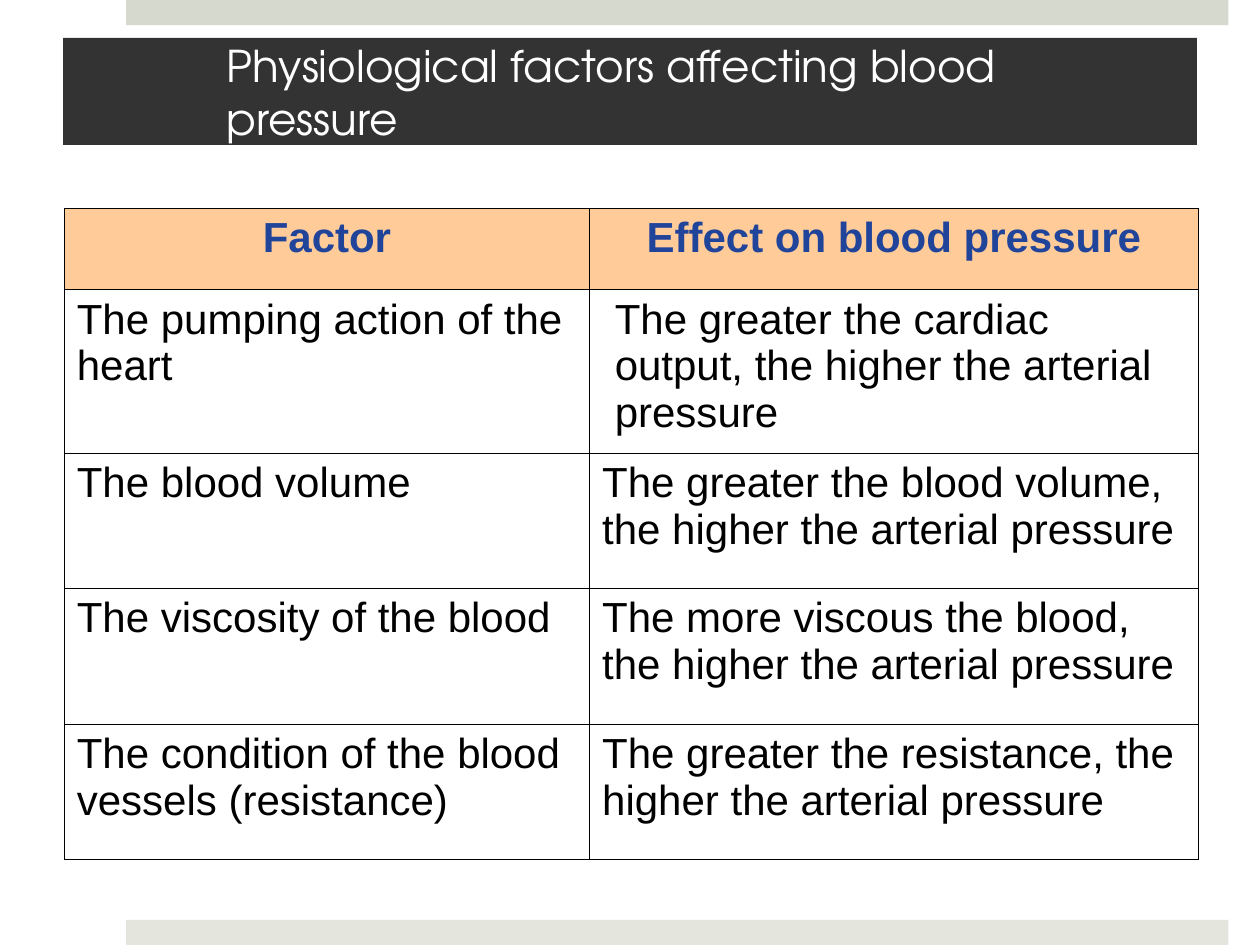
from pptx import Presentation, util as u
from pptx.dml.color import RGBColor
from pptx.enum import shapes, text
from pptx.oxml import parse_xml
from pptx.oxml.ns import nsdecls

BORDER = ('<a:{side} {ns} w="{width}"><a:solidFill><a:srgbClr val="{color}"/>'
          '</a:solidFill></a:{side}>')


def rgb(value):
    return RGBColor.from_string(value)


def set_all(obj, values):
    for name, value in values.items():
        setattr(obj, name, value)


class SlideBuilder:
    title_font = {"name": "TeX Gyre Adventor", "size": u.Pt(25), "bold": False}
    head_font = {"name": "Arial", "size": u.Pt(24), "bold": True}
    body_font = {"name": "Arial", "size": u.Pt(24), "bold": False}

    def __init__(self, prs):
        self.s = prs.slides.add_slide(prs.slide_layouts[5])

    def add_words(self, tf, words, font, color, align=text.PP_ALIGN.LEFT):
        p = tf.paragraphs[0]
        p.alignment = align
        r = p.add_run()
        r.text = words
        set_all(r.font, font)
        r.font.color.rgb = rgb(color)

    def band(self, left, top, width, height, color):
        sp = self.s.shapes.add_shape(
            shapes.MSO_SHAPE.RECTANGLE,
            *map(u.Inches, (left, top, width, height)))
        sp.shadow.inherit = False
        sp.fill.solid()
        sp.fill.fore_color.rgb = rgb(color)
        sp.line.fill.background()

    def title(self, left, top, width, height, words):
        sp = self.s.shapes.title
        set_all(sp, {"left": u.Inches(left), "top": u.Inches(top),
                     "width": u.Inches(width), "height": u.Inches(height)})
        sp.fill.solid()
        sp.fill.fore_color.rgb = rgb("333333")
        tf = sp.text_frame
        set_all(tf, {"margin_left": u.Inches(1.3), "margin_right": u.Inches(0.3),
                     "margin_top": u.Inches(0.05), "margin_bottom": u.Inches(0.05),
                     "word_wrap": True, "auto_size": text.MSO_AUTO_SIZE.NONE,
                     "vertical_anchor": text.MSO_ANCHOR.MIDDLE})
        self.add_words(tf, words, self.title_font, "FFFFFF")

    def cell(self, cell, words, is_head):
        tcPr = cell._tc.get_or_add_tcPr()
        for side in ("lnL", "lnR", "lnT", "lnB"):
            tcPr.append(parse_xml(BORDER.format(
                side=side, ns=nsdecls("a"), width=u.Pt(0.45), color="000000")))
        if is_head:
            cell.fill.solid()
            cell.fill.fore_color.rgb = rgb("FFCC99")
            self.add_words(cell.text_frame, words, self.head_font, "21449B",
                           text.PP_ALIGN.CENTER)
        else:
            cell.fill.background()
            self.add_words(cell.text_frame, words, self.body_font, "000000")

    def table(self, left, top, col_widths, row_heights, rows):
        table = self.s.shapes.add_table(
            len(rows), len(col_widths), u.Inches(left), u.Inches(top),
            u.Inches(sum(col_widths)), u.Inches(sum(row_heights))).table
        set_all(table, {"first_row": False, "horz_banding": False})
        for col, width in zip(table.columns, col_widths):
            col.width = u.Inches(width)
        for i, (row, height) in enumerate(zip(table.rows, row_heights)):
            row.height = u.Inches(height)
            for cell, words in zip(row.cells, rows[i]):
                self.cell(cell, words, i == 0)
        return table


def main():
    prs = Presentation()
    set_all(prs, {"slide_width": u.Inches(10), "slide_height": u.Inches(7.5)})
    slide = SlideBuilder(prs)

    # Bands along the top and bottom edges
    slide.band(1, 0, 8.75, 0.2, "D6D9CD")
    slide.band(1, 7.3, 8.75, 0.2, "E4E6DE")

    # Title bar
    slide.title(0.5, 0.3, 9, 0.85, "Physiological factors affecting blood pressure")

    # Factors and their effects
    table = slide.table(0.51, 1.65, [4.17, 4.83], [0.65, 1.3, 1.07, 1.08, 1.07], [
        ("Factor", "Effect on blood pressure"),
        ("The pumping action of the heart",
         "The greater the cardiac output, the higher the arterial pressure"),
        ("The blood volume",
         "The greater the blood volume, the higher the arterial pressure"),
        ("The viscosity of the blood",
         "The more viscous the blood, the higher the arterial pressure"),
        ("The condition of the blood vessels (resistance)",
         "The greater the resistance, the higher the arterial pressure"),
    ])
    # The cardiac output text is set in slightly
    table.cell(1, 1).margin_left = u.Inches(0.2)

    prs.save("out.pptx")


if __name__ == "__main__":
    main()
